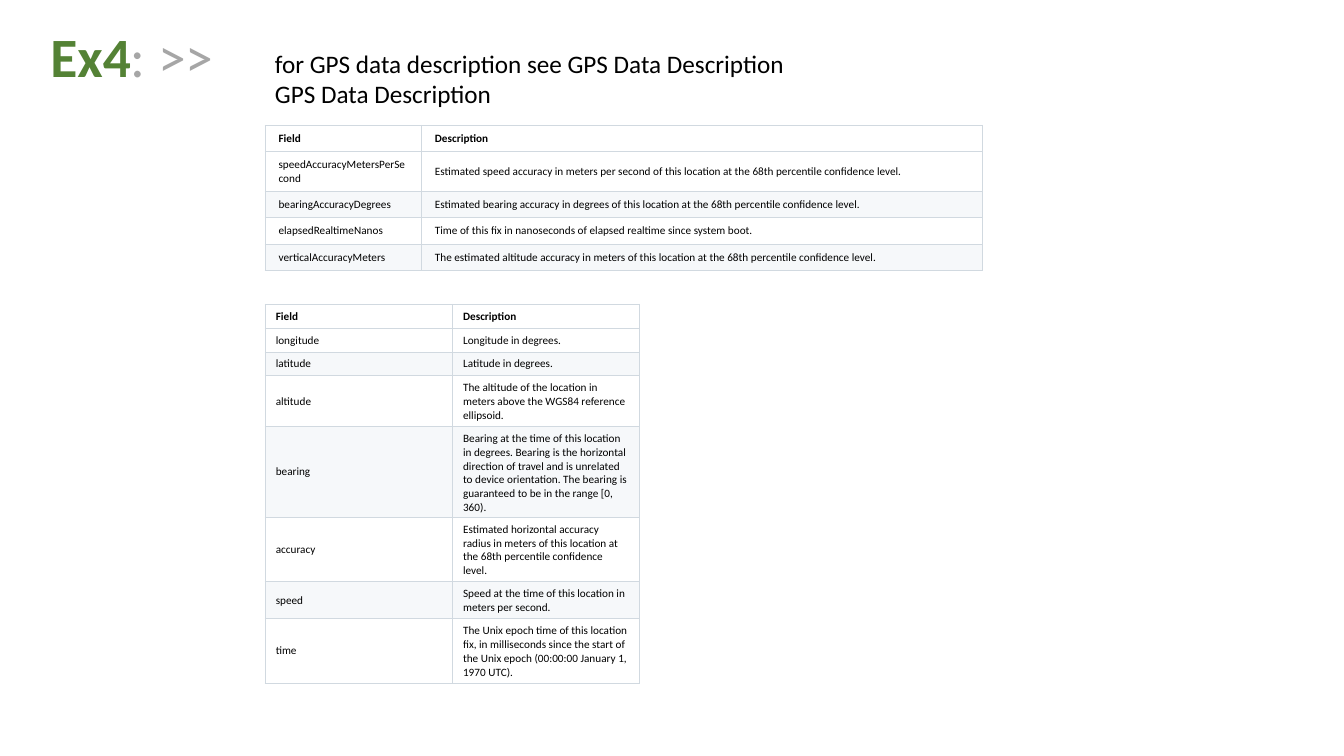
"""Build the GPS data description slide."""
from lxml import etree
from pptx import Presentation
from pptx.dml.color import RGBColor
from pptx.enum.text import MSO_ANCHOR
from pptx.oxml.ns import qn
from pptx.util import Cm, Pt

TOP, MIDDLE = MSO_ANCHOR.TOP, MSO_ANCHOR.MIDDLE
BLACK = RGBColor(0x00, 0x00, 0x00)
WHITE = RGBColor(0xFF, 0xFF, 0xFF)
GREEN = RGBColor(0x54, 0x82, 0x35)
GRAY = RGBColor(0xA6, 0xA6, 0xA6)
BAND = RGBColor(0xF6, 0xF8, 0xFA)
BORDER = RGBColor(0xD1, 0xD9, 0xE0)
FONT_NAME = "Calibri"
BLANK_LAYOUT = 6
TABLE_LEFT = 6.68

HEADER = ("Field", "Description")
ACCURACY_FIELDS = [
    HEADER,
    ("speedAccuracyMetersPerSecond",
     "Estimated speed accuracy in meters per second of this location "
     "at the 68th percentile confidence level."),
    ("bearingAccuracyDegrees",
     "Estimated bearing accuracy in degrees of this location "
     "at the 68th percentile confidence level."),
    ("elapsedRealtimeNanos",
     "Time of this fix in nanoseconds of elapsed realtime since system boot."),
    ("verticalAccuracyMeters",
     "The estimated altitude accuracy in meters of this location "
     "at the 68th percentile confidence level."),
]
LOCATION_FIELDS = [
    HEADER,
    ("longitude", "Longitude in degrees."),
    ("latitude", "Latitude in degrees."),
    ("altitude",
     "The altitude of the location in meters above the WGS84 reference ellipsoid."),
    ("bearing",
     "Bearing at the time of this location in degrees. Bearing is the horizontal "
     "direction of travel and is unrelated to device orientation. The bearing is "
     "guaranteed to be in the range [0, 360)."),
    ("accuracy",
     "Estimated horizontal accuracy radius in meters of this location "
     "at the 68th percentile confidence level."),
    ("speed", "Speed at the time of this location in meters per second."),
    ("time",
     "The Unix epoch time of this location fix, in milliseconds since the start "
     "of the Unix epoch (00:00:00 January 1, 1970 UTC)."),
]


def add_run(paragraph, text, *, size, color=BLACK, bold=False):
    """Append formatted text to a paragraph."""
    run = paragraph.add_run()
    run.text = text
    run.font.name = FONT_NAME
    run.font.size = Pt(size)
    run.font.bold = bold
    run.font.color.rgb = color


def add_text_frame(slide, left, top, width, height, anchor):
    """Add a wrapping text box and return its text frame."""
    shape = slide.shapes.add_textbox(Cm(left), Cm(top), Cm(width), Cm(height))
    text_frame = shape.text_frame
    text_frame.word_wrap = True
    text_frame.vertical_anchor = anchor
    return text_frame


def add_title(slide):
    """Add the two-coloured exercise title."""
    text_frame = add_text_frame(slide, 1.02, 1.09, 6.17, 0.81, MIDDLE)
    paragraph = text_frame.paragraphs[0]
    paragraph.line_spacing = 0.9
    add_run(paragraph, "Ex4", size=39.6, color=GREEN, bold=True)
    add_run(paragraph, ": >>", size=39.6, color=GRAY)


def add_introduction(slide):
    """Add the two lines above the tables."""
    text_frame = add_text_frame(slide, TABLE_LEFT, 1.09, 32.39, 1.8, TOP)
    add_run(text_frame.paragraphs[0],
            "for GPS data description see GPS Data Description", size=18)
    add_run(text_frame.add_paragraph(), "GPS Data Description", size=18)


def add_borders(cell):
    """Draw a thin line on every side of a cell."""
    properties = cell._tc.get_or_add_tcPr()
    for side in ("a:lnL", "a:lnR", "a:lnT", "a:lnB"):
        line = etree.SubElement(properties, qn(side), w=str(Pt(0.83)))
        fill = etree.SubElement(line, qn("a:solidFill"))
        etree.SubElement(fill, qn("a:srgbClr"), val=str(BORDER))


def format_cell(cell, text, *, fill, bold, margins):
    """Fill a cell with text, background, borders and margins."""
    add_borders(cell)
    cell.fill.solid()
    cell.fill.fore_color.rgb = fill
    cell.vertical_anchor = MIDDLE
    cell.margin_left = cell.margin_right = Cm(margins[0])
    cell.margin_top = cell.margin_bottom = Cm(margins[1])
    add_run(cell.text_frame.paragraphs[0], text, size=8, bold=bold)


def add_field_table(slide, rows, *, top, widths, heights, margins):
    """Add a table of fields with every second body row shaded."""
    table = slide.shapes.add_table(
        len(rows), len(widths), Cm(TABLE_LEFT), Cm(top),
        Cm(sum(widths)), Cm(sum(heights))).table
    table.horz_banding = False
    for column, width in zip(table.columns, widths):
        column.width = Cm(width)
    for index, (row, height, texts) in enumerate(zip(table.rows, heights, rows)):
        row.height = Cm(height)
        fill = BAND if index and index % 2 == 0 else WHITE
        for cell, text in zip(row.cells, texts):
            format_cell(cell, text, fill=fill, bold=index == 0, margins=margins)


def main():
    """Build and save the presentation."""
    presentation = Presentation()
    presentation.slide_width = Cm(33.87)
    presentation.slide_height = Cm(19.05)
    slide = presentation.slides.add_slide(presentation.slide_layouts[BLANK_LAYOUT])
    add_title(slide)
    add_introduction(slide)
    add_field_table(slide, LOCATION_FIELDS, top=7.67, widths=(4.72, 4.72),
                    heights=(0.6, 0.6, 0.6, 1.28, 2.28, 1.62, 0.93, 1.62),
                    margins=(0.27, 0.13))
    add_field_table(slide, ACCURACY_FIELDS, top=3.16, widths=(3.94, 14.15),
                    heights=(0.66, 1.01, 0.66, 0.66, 0.66),
                    margins=(0.34, 0.15))
    presentation.save("out.pptx")


if __name__ == "__main__":
    main()
